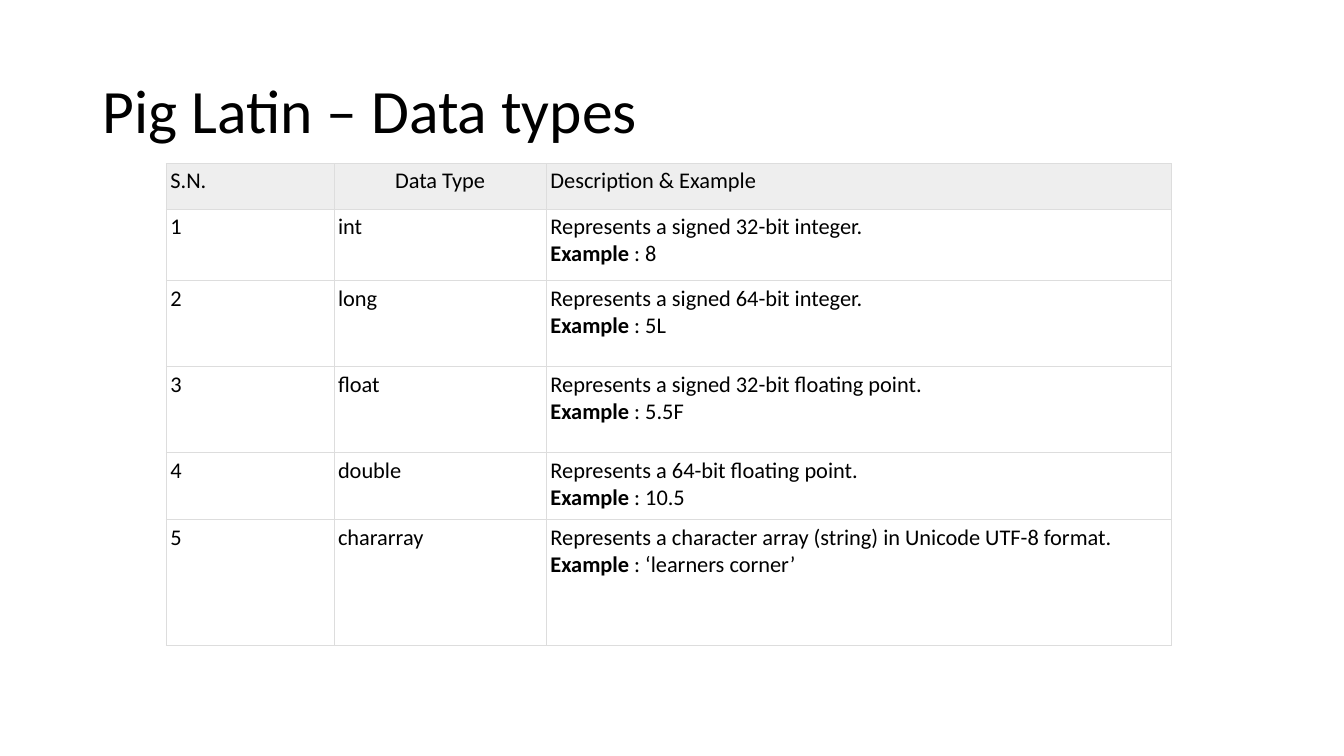
import pptx
import pptx.util
import pptx.dml.color
import pptx.enum.text
import pptx.oxml.ns
import lxml.etree
from dataclasses import dataclass

Pt = pptx.util.Pt
RGB = pptx.dml.color.RGBColor.from_string
ALIGN = pptx.enum.text.PP_ALIGN


@dataclass(frozen=True)
class Theme:
    font: str = "Calibri"
    ink: str = "000000"
    header_fill: str = "EEEEEE"
    border: str = "DDDDDD"
    border_width: float = 0.6
    title_size: float = 44
    cell_size: float = 16
    cell_margin: float = 3


THEME = Theme()
TITLE_BOX = (66, 28.75, 828, 104.5)
TABLE_BOX = (118.75, 116.75, 718, 344)
COLUMN_WIDTHS = (119.75, 151.75, 446.5)
ROW_HEIGHTS = (32.5, 51.25, 61.5, 61.5, 47.75, 89.5)
HEADERS = ("S.N.", "Data Type", "Description & Example")
DATA_TYPES = (
    ("int", "Represents a signed 32-bit integer.", "8"),
    ("long", "Represents a signed 64-bit integer.", "5L"),
    ("float", "Represents a signed 32-bit floating point.", "5.5F"),
    ("double", "Represents a 64-bit floating point.", "10.5"),
    ("chararray", "Represents a character array (string) in Unicode UTF-8 format.",
     "‘learners corner’"),
)


def style_paragraph(p, size, align=ALIGN.LEFT):
    p.alignment = align
    p.font.name = THEME.font
    p.font.size = Pt(size)
    p.font.color.rgb = RGB(THEME.ink)


def add_borders(cell):
    tc_pr = cell._tc.get_or_add_tcPr()
    qn = pptx.oxml.ns.qn
    for side in ("lnL", "lnR", "lnT", "lnB"):
        ln = lxml.etree.SubElement(tc_pr, qn(f"a:{side}"), w=str(Pt(THEME.border_width)))
        fill = lxml.etree.SubElement(ln, qn("a:solidFill"))
        lxml.etree.SubElement(fill, qn("a:srgbClr"), val=THEME.border)


def format_cell(cell, fill=None):
    add_borders(cell)
    cell.margin_left = cell.margin_right = Pt(THEME.cell_margin)
    cell.margin_top = cell.margin_bottom = Pt(THEME.cell_margin)
    if fill:
        cell.fill.solid()
        cell.fill.fore_color.rgb = RGB(fill)
    else:
        cell.fill.background()


def write_cell(cell, text, align=ALIGN.LEFT):
    p = cell.text_frame.paragraphs[0]
    p.text = text
    style_paragraph(p, THEME.cell_size, align)


def write_description(cell, description, example):
    write_cell(cell, description, ALIGN.JUSTIFY)
    p = cell.text_frame.add_paragraph()
    style_paragraph(p, THEME.cell_size, ALIGN.JUSTIFY)
    for text, bold in (("Example", True), (f"\u00a0: {example}", False)):
        r = p.add_run()
        r.text = text
        r.font.bold = bold


def place_title(slide, box, text):
    sp = slide.shapes.title
    sp.left, sp.top, sp.width, sp.height = map(Pt, box)
    tf = sp.text_frame
    tf.vertical_anchor = pptx.enum.text.MSO_ANCHOR.MIDDLE
    p = tf.paragraphs[0]
    p.text = text
    p.line_spacing = 0.9
    style_paragraph(p, THEME.title_size)


def place_table(slide, box):
    shape = slide.shapes.add_table(len(ROW_HEIGHTS), len(COLUMN_WIDTHS), *map(Pt, box))
    table = shape.table
    table.first_row = table.horz_banding = False
    for column, width in zip(table.columns, COLUMN_WIDTHS):
        column.width = Pt(width)
    for i, (row, height) in enumerate(zip(table.rows, ROW_HEIGHTS)):
        row.height = Pt(height)
        for cell in row.cells:
            format_cell(cell, THEME.header_fill if i == 0 else None)
    for j, header in enumerate(HEADERS):
        write_cell(table.cell(0, j), header, ALIGN.CENTER if j == 1 else ALIGN.LEFT)
    for i, (name, description, example) in enumerate(DATA_TYPES, 1):
        write_cell(table.cell(i, 0), str(i))
        write_cell(table.cell(i, 1), name)
        write_description(table.cell(i, 2), description, example)


prs = pptx.Presentation()
prs.slide_width, prs.slide_height = Pt(960), Pt(540)
slide = prs.slides.add_slide(prs.slide_layouts.get_by_name("Title Only"))
place_title(slide, TITLE_BOX, "Pig Latin – Data types")
place_table(slide, TABLE_BOX)
prs.save("out.pptx")
